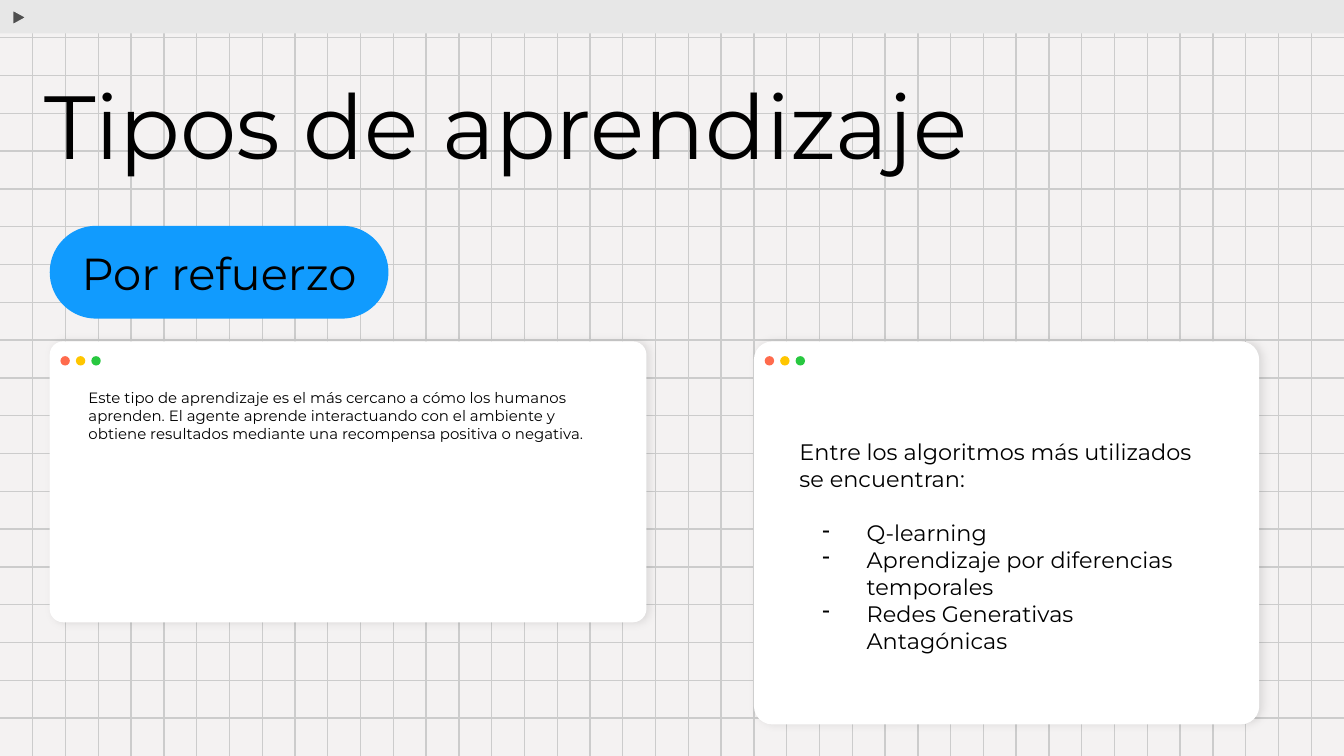
"""Build the slide on reinforcement learning with its grid, window cards and texts."""

from lxml.etree import SubElement
from pptx import Presentation
from pptx.dml.color import RGBColor
from pptx.enum.shapes import MSO_CONNECTOR, MSO_SHAPE
from pptx.enum.text import MSO_ANCHOR, MSO_AUTO_SIZE, PP_ALIGN
from pptx.oxml import parse_xml
from pptx.oxml.ns import nsdecls, qn
from pptx.util import Inches, Pt

COLUMNS, ROWS = 41, 20
FONT = "Montserrat"


def paint(fill, color):
    fill.solid()
    fill.fore_color.rgb = RGBColor.from_string(color)


def write(shape, text, size, bullets=(), align=PP_ALIGN.LEFT, anchor=MSO_ANCHOR.TOP, spacing=None):
    frame = shape.text_frame
    frame.word_wrap = True
    frame.auto_size = MSO_AUTO_SIZE.NONE
    frame.vertical_anchor = anchor
    frame.margin_left = frame.margin_right = frame.margin_top = frame.margin_bottom = Inches(0.1)
    for index, line in enumerate([text, *bullets]):
        paragraph = frame.add_paragraph() if index else frame.paragraphs[0]
        if index:
            properties = paragraph._p.get_or_add_pPr()
            properties.set("marL", str(Inches(0.5)))
            properties.set("indent", str(Inches(-0.33)))
            bullet_color = SubElement(properties, qn("a:buClr"))
            SubElement(bullet_color, qn("a:srgbClr"), val="000000")
            SubElement(properties, qn("a:buChar"), char="-")
        paragraph.alignment = align
        paragraph.line_spacing = spacing
        if index == 1:
            paragraph.space_before = Pt(size * 1.22)
        run = paragraph.add_run()
        run.text = line
        run.font.name = FONT
        run.font.size = Pt(size)
        paint(run.font.fill, "000000")


presentation = Presentation()
presentation.slide_width = Inches(10)
presentation.slide_height = Inches(5.625)
width, height = presentation.slide_width, presentation.slide_height
across, down = width / 100, height / 100
slide = presentation.slides.add_slide(presentation.slide_layouts[5])
paint(slide.background.fill, "F4F2F2")

grid_lines = [(0, height * row // ROWS, width, height * row // ROWS) for row in range(1, ROWS)]
grid_lines += [(width * column // COLUMNS, 0, width * column // COLUMNS, height) for column in range(1, COLUMNS)]
for ends in grid_lines:
    line = slide.shapes.add_connector(MSO_CONNECTOR.STRAIGHT, *ends)
    line.line.width = Pt(0.75)
    paint(line.line.fill, "CCCCCC")
    SubElement(line._element.spPr, qn("a:effectLst"))

cards = [(3.7, 45.16, 44.4, 37.16), (56.1, 45.16, 37.6, 50.67)]
items = [
    (MSO_SHAPE.RECTANGLE, (0, 0, 100, 4.44), "E7E7E7", None),
    (MSO_SHAPE.ISOSCELES_TRIANGLE, (0.9, 1.42, 1.1, 1.78), "4F4F4F", None),
]
for card in cards:
    items.append((MSO_SHAPE.ROUNDED_RECTANGLE, card, "FFFFFF", 0.048))
    for index, color in enumerate(["FF6B4D", "FFC600", "28C840"]):
        items.append((MSO_SHAPE.OVAL, (card[0] + 0.8 + 1.15 * index, 47.11, 0.7, 1.24), color, None))
items.append((MSO_SHAPE.ROUNDED_RECTANGLE, (3.7, 29.87, 25.2, 12.27), "119BFE", 0.5))

for kind, (left, top, wide, high), color, rounding in items:
    shape = slide.shapes.add_shape(
        kind, int(left * across), int(top * down), int(wide * across), int(high * down)
    )
    shape.shadow.inherit = False
    paint(shape.fill, color)
    shape.line.fill.background()
    if rounding:
        shape.adjustments[0] = rounding
    if kind == MSO_SHAPE.ISOSCELES_TRIANGLE:
        shape.rotation = 90
        shape.line.width = Pt(0.75)
        paint(shape.line.fill, "E7E7E7")
    if color == "FFFFFF":
        shape._element.spPr.find(qn("a:effectLst")).append(parse_xml(
            f'<a:outerShdw {nsdecls("a")} blurRad="{Pt(4.5)}" dist="{Pt(1.5)}" dir="0" rotWithShape="0">'
            '<a:srgbClr val="000000"><a:alpha val="10000"/></a:srgbClr></a:outerShdw>'
        ))
write(shape, "Por refuerzo", size=24, align=PP_ALIGN.CENTER, anchor=MSO_ANCHOR.MIDDLE)

title = slide.shapes.title
title.left, title.top = int(2.3 * across), int(9.07 * down)
title.width, title.height = int(80.3 * across), int(16.53 * down)
slide.shapes.element.append(title.element)
write(title, "Tipos de aprendizaje", size=48, spacing=0.9)

description = slide.shapes.add_textbox(
    int(5.6 * across), int(49.6 * down), int(40.9 * across), int(25.07 * down)
)
write(
    description,
    "Este tipo de aprendizaje es el más cercano a cómo los humanos aprenden. "
    "El agente aprende interactuando con el ambiente y obtiene resultados "
    "mediante una recompensa positiva o negativa.",
    size=8,
)

algorithms = slide.shapes.add_textbox(
    int(58.5 * across), int(56.18 * down), int(32.8 * across), int(28.8 * down)
)
write(
    algorithms,
    "Entre los algoritmos más utilizados se encuentran:",
    size=12,
    bullets=["Q-learning", "Aprendizaje por diferencias temporales", "Redes Generativas Antagónicas"],
)

presentation.save("out.pptx")
